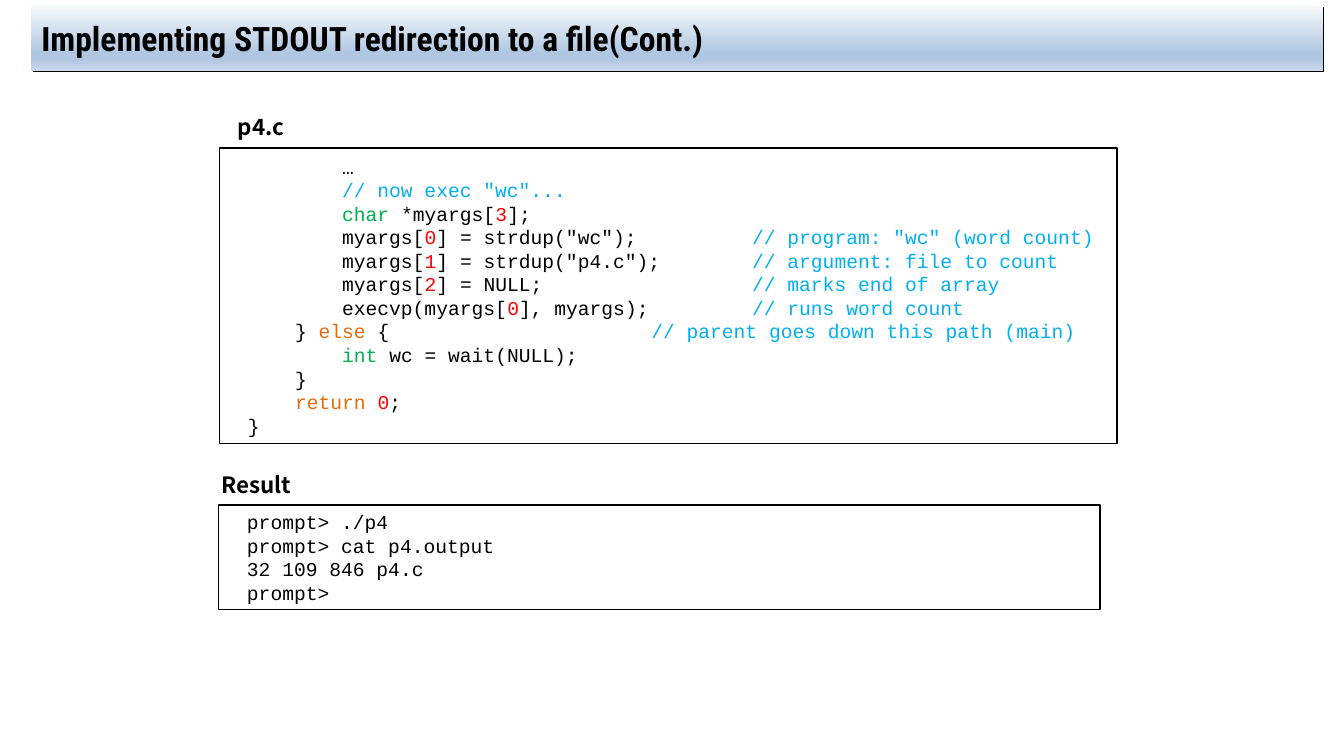
from dataclasses import dataclass
from itertools import chain

from pptx import Presentation
from pptx import util as u
from pptx.dml.color import RGBColor
from pptx.enum import shapes, text
from pptx.oxml import parse_xml
from pptx.oxml.ns import nsdecls


@dataclass(frozen=True)
class Theme:
    ink: str = "000000"
    paper: str = "FFFFFF"
    comment: str = "00B0F0"
    type_name: str = "00B050"
    number: str = "FF0000"
    keyword: str = "E46C0A"
    banner: tuple = ((0, "F6F9FC"), (74, "B0C6E1"), (83, "B0C6E1"), (100, "CAD9EB"))
    title_font: str = "Roboto Condensed"
    label_font: str = "Noto Sans CJK KR"
    code_font: str = "Courier New"
    title_size: int = 24
    label_size: int = 16
    code_size: int = 14


THEME = Theme()
TAB_STEP = 1
INDENT_STEP = 4 * 0.6 * THEME.code_size / 72


@dataclass(frozen=True)
class Box:
    left: float
    top: float
    width: float
    height: float


@dataclass(frozen=True)
class Piece:
    text: str
    color: str = THEME.ink


@dataclass(frozen=True)
class Line:
    level: int
    pieces: tuple[Piece, ...]


@dataclass(frozen=True)
class Listing:
    label: str
    label_box: Box
    box: Box
    lines: tuple[Line, ...]


def plain(level: int, words: str) -> Line:
    return Line(level, (Piece(words),))


def args_line(before: str, index: int, after: str, comment: str) -> Line:
    return Line(2, (Piece(before), Piece(str(index), THEME.number),
                    Piece(after), Piece(comment, THEME.comment)))


LISTINGS = (
    Listing("p4.c", Box(2.26, 1.07, 0.79, 0.37), Box(2.18, 1.47, 8.9, 2.93), (
        plain(2, "…"),
        Line(2, (Piece('// now exec "wc"...', THEME.comment),)),
        Line(2, (Piece("char", THEME.type_name), Piece(" *myargs["),
                 Piece("3", THEME.number), Piece("];"))),
        args_line("myargs[", 0, '] = strdup("wc"); \t\t', '// program: "wc" (word count)'),
        args_line("myargs[", 1, '] = strdup("p4.c"); \t', "// argument: file to count"),
        args_line("myargs[", 2, "] = NULL; \t\t", "// marks end of array"),
        args_line("execvp(myargs[", 0, "], myargs); \t", "// runs word count"),
        Line(1, (Piece("} "), Piece("else ", THEME.keyword), Piece("{ \t\t\t"),
                 Piece("// parent goes down this path (main)", THEME.comment))),
        Line(2, (Piece("int ", THEME.type_name), Piece("wc = wait(NULL);"))),
        plain(1, "}"),
        Line(1, (Piece("return ", THEME.keyword), Piece("0", THEME.number), Piece(";"))),
        plain(0, "}"),
    )),
    Listing("Result", Box(2.1, 4.62, 2.9, 0.37), Box(2.17, 5.01, 8.74, 1.04), (
        plain(0, "prompt> ./p4"),
        plain(0, "prompt> cat p4.output"),
        plain(0, "32 109 846 p4.c"),
        plain(0, "prompt>"),
    )),
)


def lengths(box: Box) -> tuple:
    return tuple(u.Inches(n) for n in (box.left, box.top, box.width, box.height))


def set_default_tabs(presentation) -> None:
    styles = chain(presentation.element.iter(), presentation.slide_master.element.iter())
    for style in styles:
        if style.get("defTabSz"):
            style.set("defTabSz", str(u.Inches(TAB_STEP)))


def add_run(paragraph, piece: Piece, font: str, size: int, bold: bool = False) -> None:
    run = paragraph.add_run()
    run.text = piece.text
    run.font.name = font
    run.font.size = u.Pt(size)
    run.font.bold = bold
    run.font.color.rgb = RGBColor.from_string(piece.color)


def add_title(slide, words: str, box: Box) -> None:
    title = slide.shapes.title
    title.left, title.top, title.width, title.height = lengths(box)
    stops = "".join(
        f'<a:gs pos="{position * 1000}"><a:srgbClr val="{color}"/></a:gs>'
        for position, color in THEME.banner
    )
    properties = title.element.spPr
    properties.append(parse_xml(
        f'<a:gradFill {nsdecls("a")} rotWithShape="1"><a:gsLst>{stops}</a:gsLst>'
        '<a:lin ang="5400000" scaled="0"/></a:gradFill>'
    ))
    properties.append(parse_xml(
        f'<a:effectLst {nsdecls("a")}><a:outerShdw dist="{u.Pt(1.4)}" dir="2700000" '
        f'algn="tl" rotWithShape="0"><a:srgbClr val="{THEME.ink}"/>'
        '</a:outerShdw></a:effectLst>'
    ))
    frame = title.text_frame
    frame.auto_size = text.MSO_AUTO_SIZE.NONE
    frame.vertical_anchor = text.MSO_ANCHOR.MIDDLE
    paragraph = frame.paragraphs[0]
    paragraph.alignment = text.PP_ALIGN.LEFT
    add_run(paragraph, Piece(words), THEME.title_font, THEME.title_size, True)


def add_label(slide, words: str, box: Box) -> None:
    frame = slide.shapes.add_textbox(*lengths(box)).text_frame
    frame.word_wrap = True
    frame.auto_size = text.MSO_AUTO_SIZE.SHAPE_TO_FIT_TEXT
    add_run(frame.paragraphs[0], Piece(words), THEME.label_font, THEME.label_size, True)


def write_line(paragraph, line: Line) -> None:
    paragraph.alignment = text.PP_ALIGN.LEFT
    properties = paragraph._p.get_or_add_pPr()
    properties.set("marL", "0")
    properties.set("indent", str(u.Inches(line.level * INDENT_STEP)))
    properties.set("defTabSz", str(u.Inches(TAB_STEP)))
    for piece in line.pieces:
        add_run(paragraph, piece, THEME.code_font, THEME.code_size)


def add_code(slide, box: Box, lines: tuple[Line, ...]) -> None:
    shape = slide.shapes.add_shape(shapes.MSO_SHAPE.RECTANGLE, *lengths(box))
    shape.shadow.inherit = False
    shape.fill.solid()
    shape.fill.fore_color.rgb = RGBColor.from_string(THEME.paper)
    shape.line.color.rgb = RGBColor.from_string(THEME.ink)
    shape.line.width = u.Pt(1)
    frame = shape.text_frame
    frame.word_wrap = True
    frame.auto_size = text.MSO_AUTO_SIZE.SHAPE_TO_FIT_TEXT
    frame.vertical_anchor = text.MSO_ANCHOR.MIDDLE
    frame.margin_left = u.Inches(0.28)
    for number, line in enumerate(lines):
        write_line(frame.add_paragraph() if number else frame.paragraphs[0], line)


def main() -> None:
    presentation = Presentation()
    presentation.slide_width = u.Inches(13.33)
    presentation.slide_height = u.Inches(7.5)
    set_default_tabs(presentation)
    slide = presentation.slides.add_slide(presentation.slide_layouts[5])
    add_title(slide, "Implementing STDOUT redirection to a file(Cont.)",
              Box(0.31, 0.06, 12.81, 0.64))
    for listing in LISTINGS:
        add_code(slide, listing.box, listing.lines)
        add_label(slide, listing.label, listing.label_box)
    presentation.save("out.pptx")


if __name__ == "__main__":
    main()
